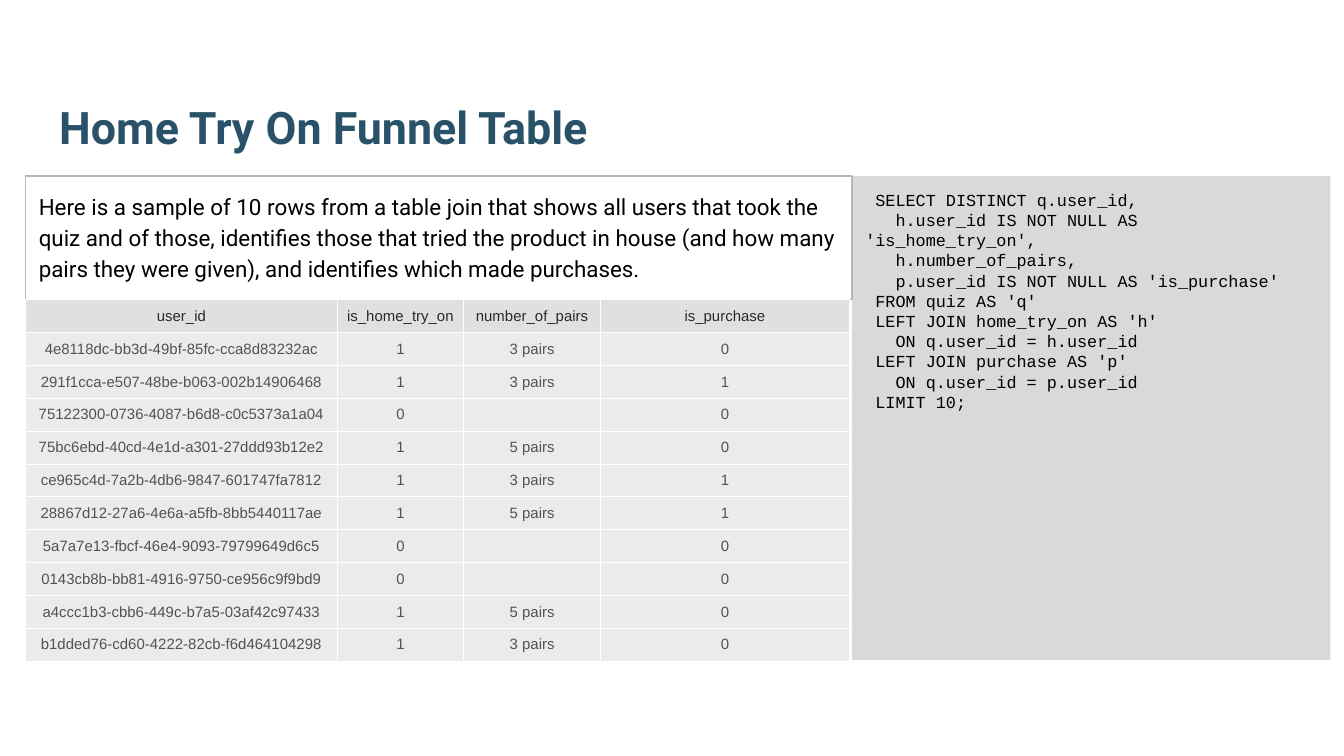
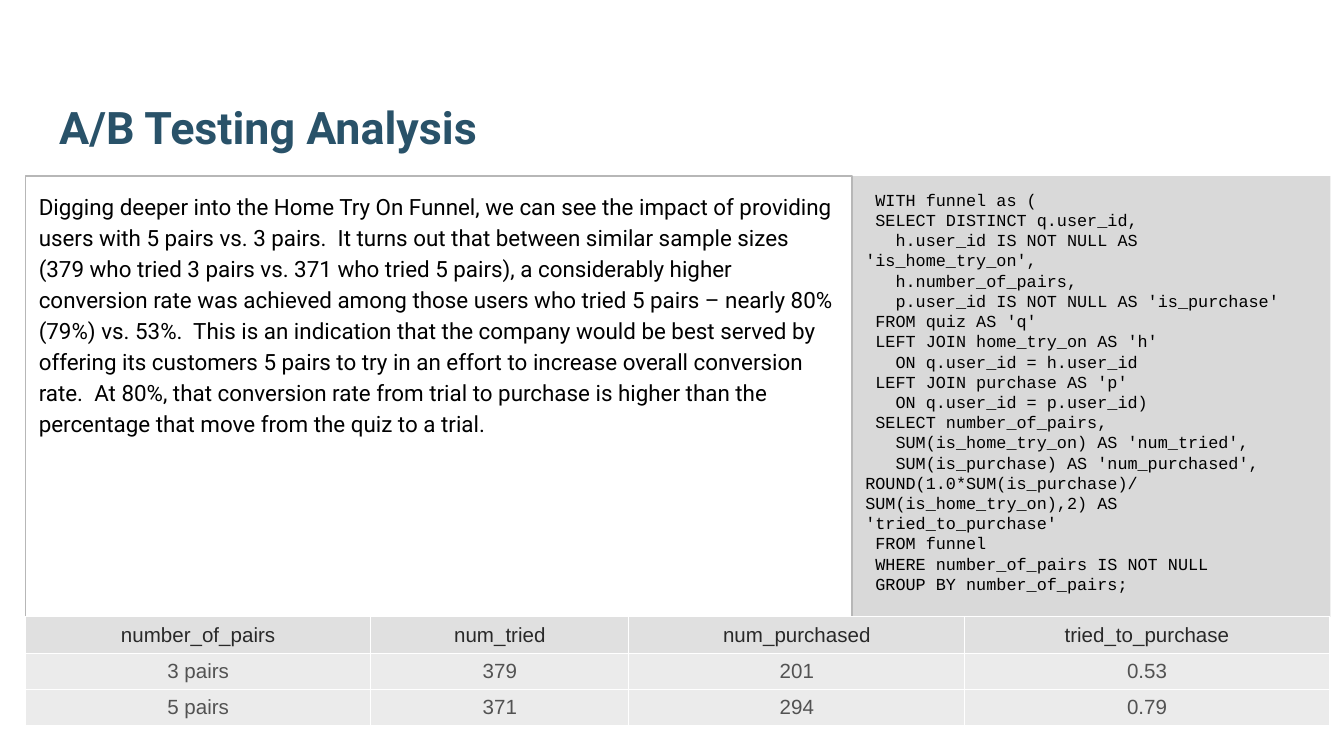
"""Build two slides on a home try-on funnel: joined sample rows and an A/B test."""
from lxml.etree import SubElement
from pptx import Presentation
from pptx.dml.color import RGBColor
from pptx.enum.shapes import MSO_SHAPE
from pptx.enum.text import MSO_ANCHOR, MSO_AUTO_SIZE, PP_ALIGN
from pptx.oxml.ns import qn
from pptx.util import Inches, Pt

NAVY, BLACK, WHITE = "295269", "000000", "FFFFFF"
CODE_FILL, RULE = "D9D9D9", "B7B7B7"
HEAD_FILL, HEAD_TEXT = "E0E0E0", "292929"
BODY_FILL, BODY_TEXT = "EBEBEB", "525252"

WIDTH = 10
HEIGHT = WIDTH * 9 / 16
LEFT, TOP = 0.19, 1.31
STORY_WIDTH, CODE_WIDTH = 6.15, 3.56

JOIN_QUERY = [
    " SELECT DISTINCT q.user_id,",
    "   h.user_id IS NOT NULL AS 'is_home_try_on',",
    "   h.number_of_pairs,",
    "   p.user_id IS NOT NULL AS 'is_purchase'",
    " FROM quiz AS 'q'",
    " LEFT JOIN home_try_on AS 'h'",
    "   ON q.user_id = h.user_id",
    " LEFT JOIN purchase AS 'p'",
    "   ON q.user_id = p.user_id",
]

FUNNEL = {
    "title": "Home Try On Funnel Table",
    "story": "Here is a sample of 10 rows from a table join that shows all users that "
             "took the quiz and of those, identifies those that tried the product in "
             "house (and how many pairs they were given), and identifies which made "
             "purchases.",
    "story_height": 0.92,
    "code": JOIN_QUERY + [" LIMIT 10;"],
    "code_height": 3.6,
    "rows": [
        ("user_id", "is_home_try_on", "number_of_pairs", "is_purchase"),
        ("4e8118dc-bb3d-49bf-85fc-cca8d83232ac", "1", "3 pairs", "0"),
        ("291f1cca-e507-48be-b063-002b14906468", "1", "3 pairs", "1"),
        ("75122300-0736-4087-b6d8-c0c5373a1a04", "0", "", "0"),
        ("75bc6ebd-40cd-4e1d-a301-27ddd93b12e2", "1", "5 pairs", "0"),
        ("ce965c4d-7a2b-4db6-9847-601747fa7812", "1", "3 pairs", "1"),
        ("28867d12-27a6-4e6a-a5fb-8bb5440117ae", "1", "5 pairs", "1"),
        ("5a7a7e13-fbcf-46e4-9093-79799649d6c5", "0", "", "0"),
        ("0143cb8b-bb81-4916-9750-ce956c9f9bd9", "0", "", "0"),
        ("a4ccc1b3-cbb6-449c-b7a5-03af42c97433", "1", "5 pairs", "0"),
        ("b1dded76-cd60-4222-82cb-f6d464104298", "1", "3 pairs", "0"),
    ],
    "columns": (2.32, 0.94, 1.02, 1.85),
    "table_height": 2.69,
    "text_size": 8,
    "cell_insets": (0.06, 0.03),
}

AB_TEST = {
    "title": "A/B Testing Analysis",
    "story": "Digging deeper into the Home Try On Funnel, we can see the impact of "
             "providing users with 5 pairs vs. 3 pairs.  It turns out that between "
             "similar sample sizes (379 who tried 3 pairs vs. 371 who tried 5 pairs), a "
             "considerably higher conversion rate was achieved among those users who "
             "tried 5 pairs – nearly 80% (79%) vs. 53%.  This is an indication that the "
             "company would be best served by offering its customers 5 pairs to try in "
             "an effort to increase overall conversion rate.  At 80%, that conversion "
             "rate from trial to purchase is higher than the percentage that move from "
             "the quiz to a trial.",
    "story_height": 3.28,
    "code": [" WITH funnel as ("] + JOIN_QUERY[:-1] + [
        JOIN_QUERY[-1] + ")",
        " SELECT number_of_pairs,",
        "   SUM(is_home_try_on) AS 'num_tried',",
        "   SUM(is_purchase) AS 'num_purchased',",
        "ROUND(1.0*SUM(is_purchase)/SUM(is_home_try_on),2) AS 'tried_to_purchase'",
        " FROM funnel",
        " WHERE number_of_pairs IS NOT NULL",
        " GROUP BY number_of_pairs;",
    ],
    "code_height": 3.28,
    "rows": [
        ("number_of_pairs", "num_tried", "num_purchased", "tried_to_purchase"),
        ("3 pairs", "379", "201", "0.53"),
        ("5 pairs", "371", "294", "0.79"),
    ],
    "columns": (2.57, 1.92, 2.5, 2.71),
    "table_height": 0.81,
    "text_size": 11,
    "cell_insets": (0.1, 0.05),
}


def color(value):
    return RGBColor.from_string(value)


def write(holder, lines, size, font="Arial", ink=BLACK, bold=False,
          align=PP_ALIGN.LEFT, spacing=1.0):
    frame = holder.text_frame
    for index, line in enumerate(lines):
        paragraph = frame.add_paragraph() if index else frame.paragraphs[0]
        paragraph.alignment = align
        paragraph.line_spacing = spacing
        if not line:
            SubElement(paragraph._p, qn("a:endParaRPr"), sz=str(size * 100))
            continue
        run = paragraph.add_run()
        run.text = line
        run.font.name, run.font.size, run.font.bold = font, Pt(size), bold
        run.font.color.rgb = color(ink)


def set_insets(holder, across, down):
    holder.margin_left = holder.margin_right = Inches(across)
    holder.margin_top = holder.margin_bottom = Inches(down)


def add_title(slide, text):
    title = slide.shapes.title
    title.left, title.top = Inches(0.34), Inches(0.32)
    title.width, title.height = Inches(9.32), Inches(0.92)
    title.text_frame.auto_size = MSO_AUTO_SIZE.NONE
    title.text_frame.vertical_anchor = MSO_ANCHOR.BOTTOM
    set_insets(title.text_frame, 0.1, 0.1)
    write(title, [text], 24, font="Roboto", ink=NAVY, bold=True)


def add_panel(slide, left, width, height, fill=None, line=None):
    panel = slide.shapes.add_shape(MSO_SHAPE.RECTANGLE, Inches(left), Inches(TOP),
                                   Inches(width), Inches(height))
    panel.shadow.inherit = False
    if fill:
        panel.fill.solid()
        panel.fill.fore_color.rgb = color(fill)
    else:
        panel.fill.background()
    if line:
        panel.line.color.rgb = color(line)
        panel.line.width = Pt(0.75)
    else:
        panel.line.fill.background()
    panel.text_frame.word_wrap = True
    panel.text_frame.vertical_anchor = MSO_ANCHOR.TOP
    set_insets(panel.text_frame, 0.1, 0.1)
    return panel


def add_borders(cell):
    properties = cell._tc.get_or_add_tcPr()
    for side in ("lnL", "lnR", "lnT", "lnB"):
        border = SubElement(properties, qn(f"a:{side}"), w=str(Pt(0.6)))
        SubElement(SubElement(border, qn("a:solidFill")), qn("a:srgbClr"), val=WHITE)


def add_results(slide, content):
    rows, columns = content["rows"], content["columns"]
    top = TOP + content["story_height"]
    results = slide.shapes.add_table(
        len(rows), len(columns), Inches(LEFT), Inches(top),
        Inches(sum(columns)), Inches(content["table_height"])).table
    results.first_row = results.horz_banding = False
    for column, width in zip(results.columns, columns):
        column.width = Inches(width)
    for number, values in enumerate(rows):
        results.rows[number].height = Inches(content["table_height"] / len(rows))
        fill, ink = (BODY_FILL, BODY_TEXT) if number else (HEAD_FILL, HEAD_TEXT)
        for cell, value in zip(results.rows[number].cells, values):
            add_borders(cell)
            cell.fill.solid()
            cell.fill.fore_color.rgb = color(fill)
            cell.vertical_anchor = MSO_ANCHOR.MIDDLE
            set_insets(cell, *content["cell_insets"])
            write(cell, [value], content["text_size"], ink=ink, align=PP_ALIGN.CENTER)


def add_analysis(deck, content):
    slide = deck.slides.add_slide(deck.slide_layouts[5])
    add_title(slide, content["title"])
    code = add_panel(slide, LEFT + STORY_WIDTH, CODE_WIDTH, content["code_height"],
                     fill=CODE_FILL)
    write(code, content["code"], 9, font="Courier New")
    story = add_panel(slide, LEFT, STORY_WIDTH, content["story_height"], line=RULE)
    write(story, [content["story"]], 12, font="Roboto", spacing=1.15)
    add_results(slide, content)


def main():
    deck = Presentation()
    deck.slide_width, deck.slide_height = Inches(WIDTH), Inches(HEIGHT)
    for content in (FUNNEL, AB_TEST):
        add_analysis(deck, content)
    deck.save("out.pptx")


if __name__ == "__main__":
    main()
